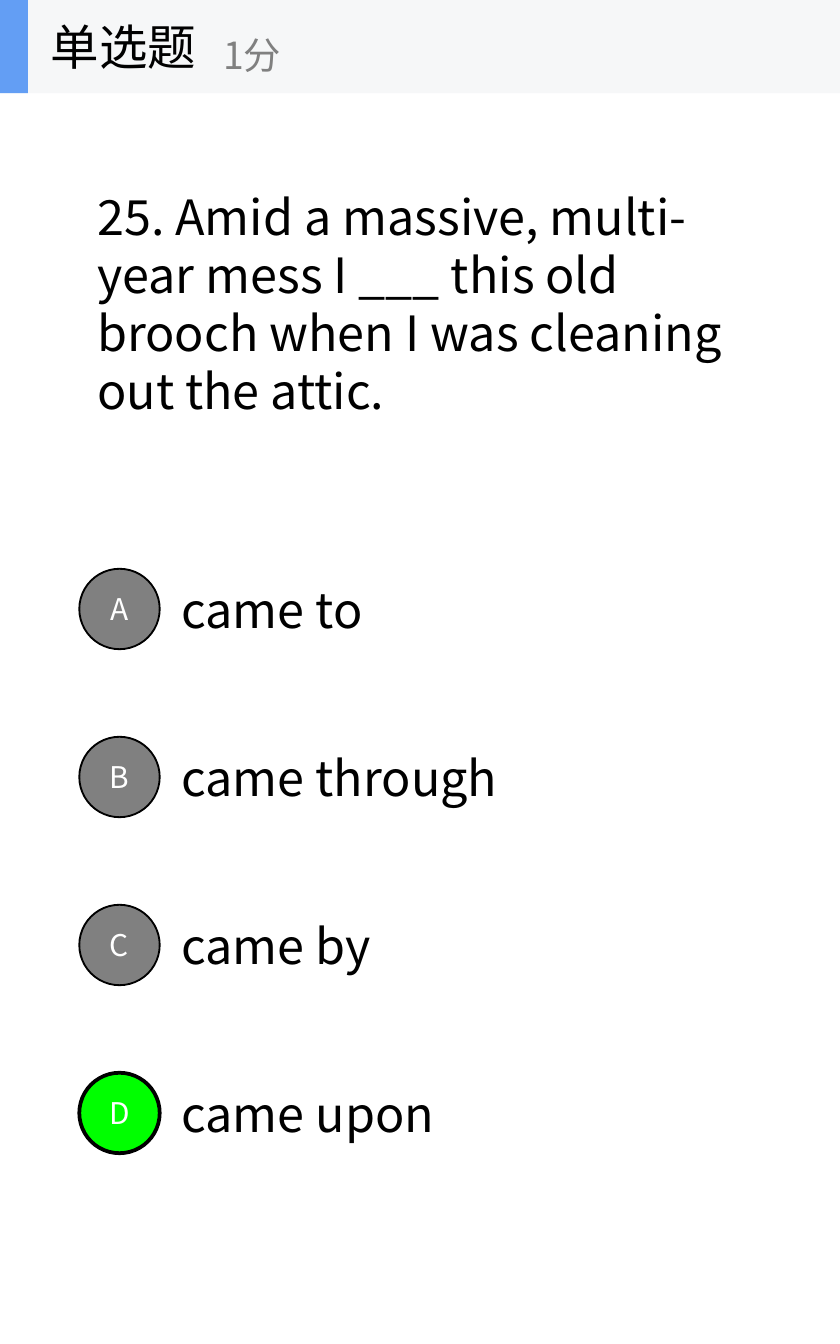
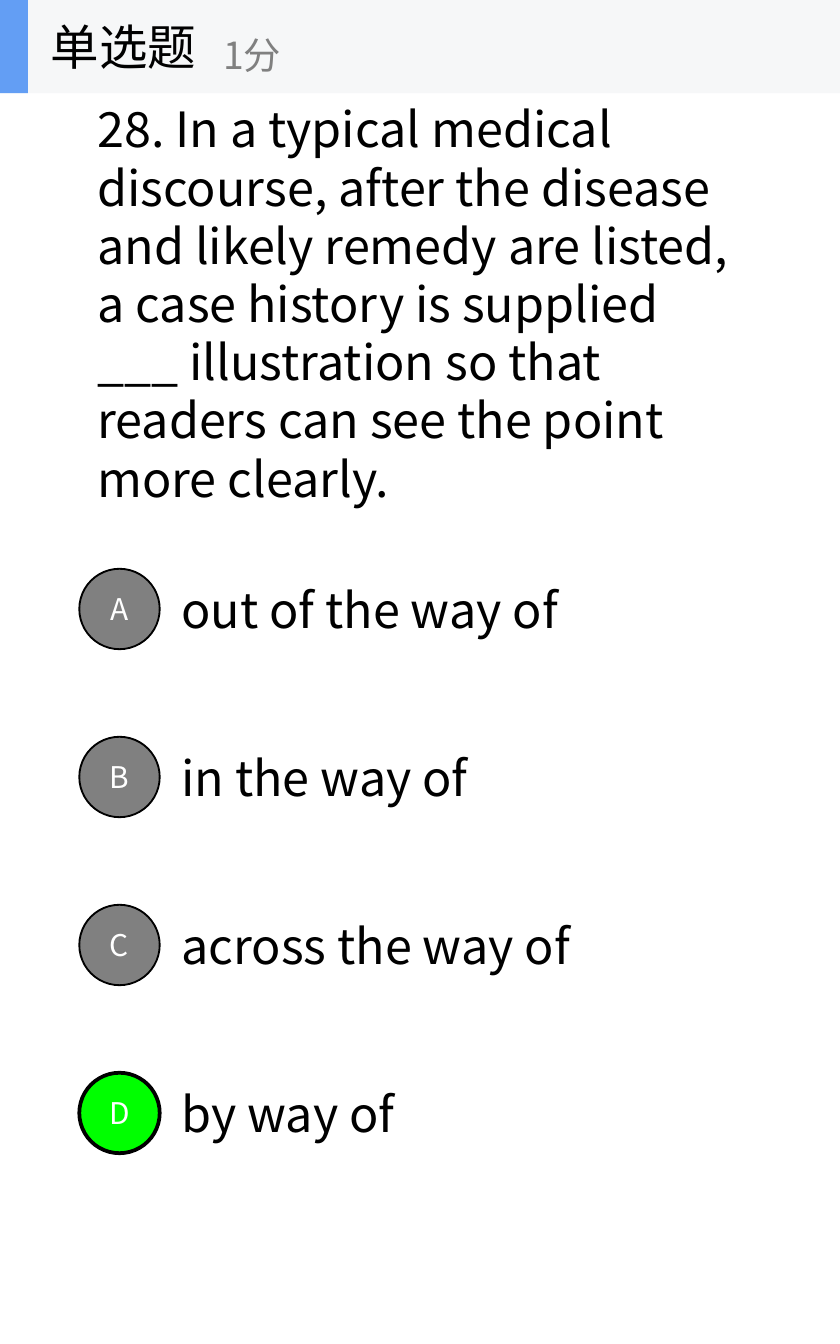
"""Build two single-choice quiz slides."""
from typing import NamedTuple

from lxml import etree
from pptx import Presentation
from pptx.dml.color import RGBColor
from pptx.enum.shapes import MSO_SHAPE
from pptx.enum.text import MSO_ANCHOR, PP_ALIGN
from pptx.oxml.ns import qn
from pptx.util import Cm, Pt

RECT, OVAL = MSO_SHAPE.RECTANGLE, MSO_SHAPE.OVAL
MIDDLE = MSO_ANCHOR.MIDDLE
LEFT, CENTER = PP_ALIGN.LEFT, PP_ALIGN.CENTER

FACE = "Noto Sans CJK SC"
BLACK, WHITE, GRAY = "000000", "FFFFFF", "808080"
GREEN, BLUE, PALE = "00FF00", "639EF4", "F6F7F8"
WIDE, TALL, BAND = 15.88, 25.4, 1.76
TOP, STEP, ROW, DOT = 10.32, 3.175, 2.38, 1.52


class Box(NamedTuple):
    left: float
    top: float
    width: float
    height: float


class Label(NamedTuple):
    text: str
    box: Box
    size: int = 26
    color: str = BLACK
    wrap: bool = True


class Quiz(NamedTuple):
    stem: str
    picks: tuple[str, ...]
    key: str


HEAD = (
    Label("单选题", Box(0.71, 0, 5.28, BAND), wrap=False),
    Label("1分", Box(3.97, 0.32, 6.35, 1.43), 20, GRAY, False),
)
BARS = ((PALE, Box(0, 0, WIDE, BAND)), (BLUE, Box(0, 0, 0.53, BAND)))

QUIZ = (
    Quiz(
        "25. Amid a massive, multi-year mess I ___ this old brooch "
        "when I was cleaning out the attic.",
        ("came to", "came through", "came by", "came upon"),
        "D",
    ),
    Quiz(
        "28. In a typical medical discourse, after the disease and likely "
        "remedy are listed, a case history is supplied ___ illustration "
        "so that readers can see the point more clearly.",
        ("out of the way of", "in the way of", "across the way of", "by way of"),
        "D",
    ),
)


def paint(code: str) -> RGBColor:
    return RGBColor.from_string(code)


def place(box: Box) -> list[Cm]:
    return [Cm(side) for side in box]


def write(shape, text: str, size: int, color: str, align=LEFT, wrap=True) -> None:
    frame = shape.text_frame
    frame.word_wrap = wrap
    frame.vertical_anchor = MIDDLE
    para = frame.paragraphs[0]
    para.text = text
    para.alignment = align
    font = para.font
    font.size = Pt(size)
    font.name = FACE
    font.color.rgb = paint(color)
    props = para._p.pPr.find(qn("a:defRPr"))
    etree.SubElement(props, qn("a:ea"), typeface=FACE)


def add_label(shapes, label: Label) -> None:
    area = shapes.add_textbox(*place(label.box))
    write(area, label.text, label.size, label.color, wrap=label.wrap)


def add_solid(shapes, kind, box: Box, fill: str, line: float = 0):
    shape = shapes.add_shape(kind, *place(box))
    shape.shadow.inherit = False
    shape.fill.solid()
    shape.fill.fore_color.rgb = paint(fill)
    if line:
        shape.line.color.rgb = paint(BLACK)
        shape.line.width = Pt(line)
    else:
        shape.line.fill.background()
    return shape


def add_dot(shapes, mark: str, top: float, right: bool) -> None:
    box = Box(1.5, top + (ROW - DOT) / 2, DOT, DOT)
    fill, line = (GREEN, 2) if right else (GRAY, 1)
    dot = add_solid(shapes, OVAL, box, fill, line)
    frame = dot.text_frame
    frame.margin_left = frame.margin_right = 0
    write(dot, mark, 16, WHITE, CENTER)


def add_head(shapes) -> None:
    group = shapes.add_group_shape().shapes
    for fill, box in BARS:
        add_solid(group, RECT, box, fill)
    for label in HEAD:
        add_label(group, label)


def add_quiz(deck, quiz: Quiz) -> None:
    shapes = deck.slides.add_slide(deck.slide_layouts[6]).shapes
    add_label(shapes, Label(quiz.stem, Box(1.59, BAND, 12.7, 7.94)))
    tops = [TOP + STEP * row for row in range(len(quiz.picks))]
    for pick, top in zip(quiz.picks, tops):
        add_label(shapes, Label(pick, Box(3.18, top, 11.11, ROW)))
    for mark, top in zip("ABCD", tops):
        add_dot(shapes, mark, top, mark == quiz.key)
    add_head(shapes)


def main() -> None:
    deck = Presentation()
    deck.slide_width, deck.slide_height = Cm(WIDE), Cm(TALL)
    for quiz in QUIZ:
        add_quiz(deck, quiz)
    deck.save("out.pptx")


if __name__ == "__main__":
    main()
